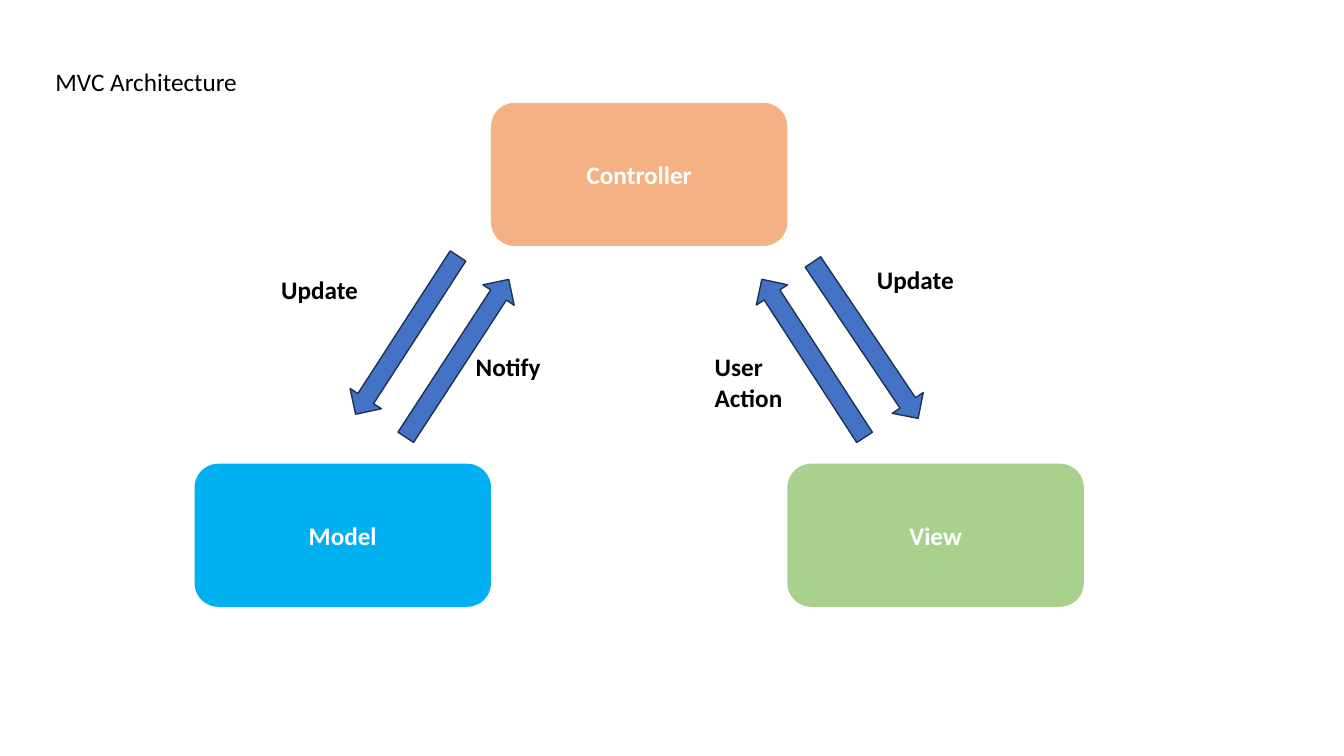
import pptx
import pptx.util
import pptx.dml.color
import pptx.enum.shapes
import pptx.enum.text

HUES = {
    "control": "F4B183", "model": "00B0F0", "view": "A9D18E",
    "arrow": "4472C4", "edge": "1E3256", "ink": "000000", "paper": "FFFFFF",
}
KINDS = pptx.enum.shapes.MSO_SHAPE
ALIGN = pptx.enum.text.PP_ALIGN
ANCHOR = pptx.enum.text.MSO_ANCHOR
FIT = pptx.enum.text.MSO_AUTO_SIZE


def hue(name):
    return pptx.dml.color.RGBColor.from_string(HUES[name])


class Board:
    """Holds the text style and the slide being filled."""

    def __init__(self, deck, font="Calibri", size=18):
        self.slide = deck.slides.add_slide(deck.slide_layouts[5])
        self.font, self.size = font, size

    def letter(self, shape, text, ink="ink", bold=True,
               align=ALIGN.LEFT, anchor=ANCHOR.TOP):
        """Put styled text into a shape."""
        frame = shape.text_frame
        frame.word_wrap = True
        frame.auto_size = FIT.NONE
        frame.vertical_anchor = anchor
        para = frame.paragraphs[0]
        para.alignment = align
        run = para.add_run()
        run.text = text
        run.font.name = self.font
        run.font.size = pptx.util.Pt(self.size)
        run.font.bold = bold
        run.font.color.rgb = hue(ink)

    def shape(self, kind, area, fill):
        item = self.slide.shapes.add_shape(kind, *map(pptx.util.Inches, area))
        item.shadow.inherit = False
        item.fill.solid()
        item.fill.fore_color.rgb = hue(fill)
        return item

    def title(self, text, area):
        item = self.slide.shapes.title
        item.left, item.top, item.width, item.height = map(pptx.util.Inches, area)
        self.letter(item, text, bold=False)

    def box(self, text, left, top, fill):
        item = self.shape(KINDS.ROUNDED_RECTANGLE, (left, top, 2.94, 1.42), fill)
        item.line.fill.background()
        self.letter(item, text, "paper", align=ALIGN.CENTER, anchor=ANCHOR.MIDDLE)

    def arrow(self, left, top, turn):
        item = self.shape(KINDS.DOWN_ARROW, (left, top, 0.37, 1.87), "arrow")
        item.rotation = turn
        item.line.color.rgb = hue("edge")
        item.line.width = pptx.util.Pt(1)

    def label(self, text, *area):
        item = self.slide.shapes.add_textbox(*map(pptx.util.Inches, area))
        self.letter(item, text)


def main():
    deck = pptx.Presentation()
    deck.slide_width = pptx.util.Inches(13.33)
    deck.slide_height = pptx.util.Inches(7.5)
    board = Board(deck)
    board.title("MVC Architecture", (0.45, 0.61, 12.81, 0.4))

    board.box("Controller", 4.87, 1.02, "control")
    board.box("Model", 1.93, 4.6, "model")
    board.box("View", 7.81, 4.6, "view")

    for left, top, turn in ((3.85, 2.39, 32.9), (4.35, 2.62, 213.1),
                            (8.4, 2.44, 326.1), (7.88, 2.62, 147)):
        board.arrow(left, top, turn)

    board.label("Update", 2.69, 2.67, 1.43, 0.52)
    board.label("Notify", 4.62, 3.44, 1.39, 0.52)
    board.label("User Action", 6.99, 3.44, 1.39, 0.91)
    board.label("Update", 8.6, 2.57, 1.43, 0.52)

    deck.save("out.pptx")


if __name__ == "__main__":
    main()
